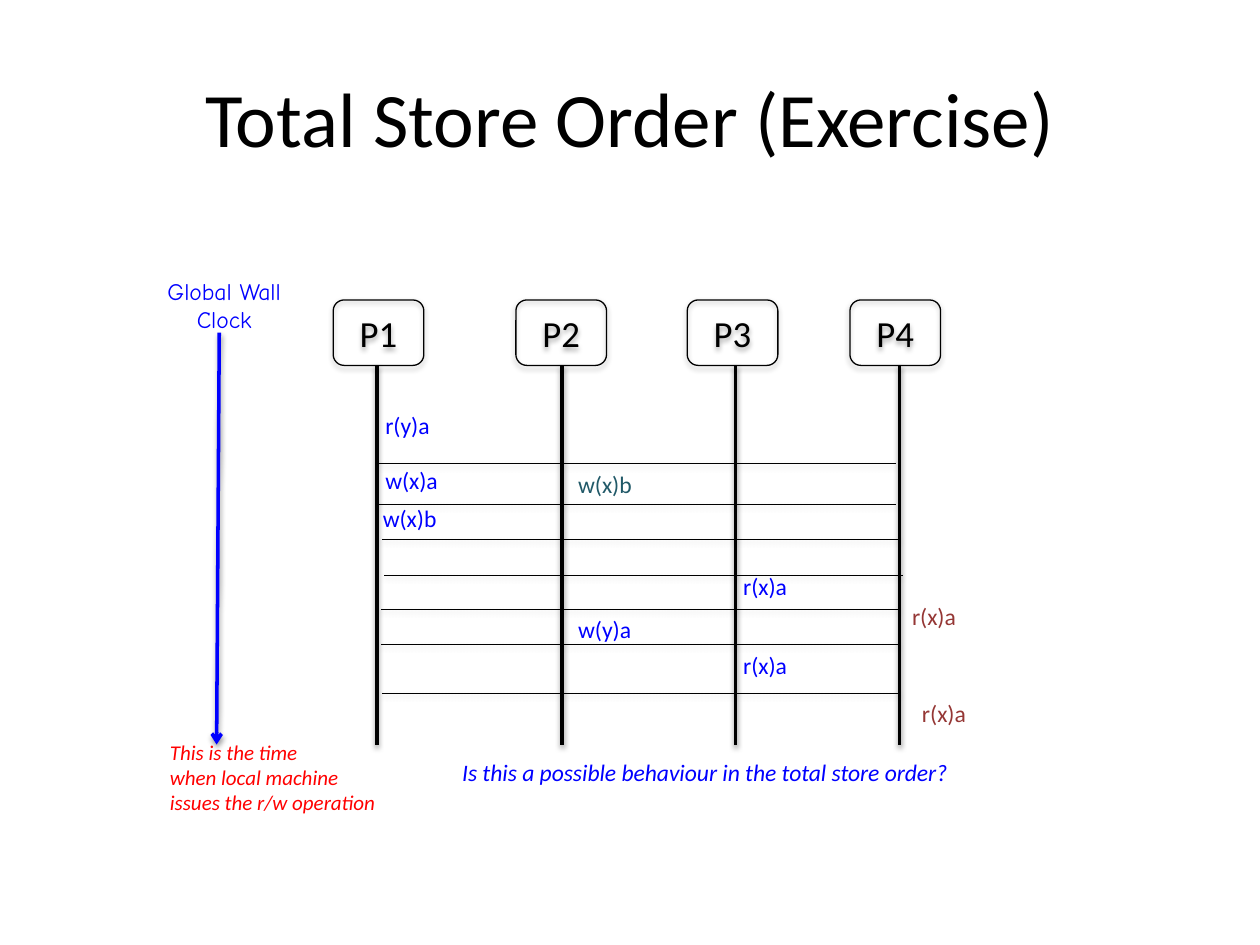
from dataclasses import dataclass

import pptx
import pptx.dml.color
import pptx.enum.dml
import pptx.enum.shapes
import pptx.enum.text
import pptx.oxml
import pptx.util
from pptx.util import Pt

COLORS = {"black": "000000", "blue": "0000FF", "red": "FF0000",
          "teal": "215968", "maroon": "953735"}
ALIGN = pptx.enum.text.PP_ALIGN
ANCHOR = pptx.enum.text.MSO_ANCHOR
A_NS = 'xmlns:a="http://schemas.openxmlformats.org/drawingml/2006/main"'

HEAD_TOP, HEAD_W, HEAD_H = 171.4, 51.8, 37.4
LIFELINE_END = 425.5
GUIDE_LENGTH = 296
LABEL_H = 23.8


@dataclass
class Process:
    name: str
    left: float
    lifeline_x: float


@dataclass
class Label:
    text: str
    left: float
    top: float
    width: float
    color: str = "blue"
    height: float = LABEL_H
    size: float = 13.5
    font: str = "Calibri"
    italic: bool = False
    align: ALIGN = ALIGN.LEFT
    anchor: ANCHOR = ANCHOR.TOP
    wrap: bool = False


PROCESSES = [
    Process("P1", 190.4, 215.3),
    Process("P2", 294.8, 321.1),
    Process("P3", 392.7, 420.2),
    Process("P4", 485.7, 514.1),
]
# Left end and height of each dotted guide
GUIDES = [(215.3, 265), (215.3, 288), (218.2, 308.2), (219.6, 328.6),
          (217.6, 348), (217.6, 368), (218.2, 396)]
TITLE = Label("Total Store Order (Exercise)", 36, 21.6, 648, "black", 90, 44,
              align=ALIGN.CENTER, anchor=ANCHOR.MIDDLE, wrap=True)
LABELS = [
    Label("Global Wall\nClock", 87.8, 154.8, 80.6, height=40.3,
          font="Comic Neue", align=ALIGN.CENTER),
    Label("This is the time\nwhen local machine\nissues the r/w operation",
          90, 419, 133.2, "red", 51.1, 12, italic=True),
    Label("Is this a possible behaviour in the total store order?",
          257, 429.8, 295.9, italic=True),
    Label("r(y)a", 213.1, 231.1, 40.3),
    Label("w(x)a", 213.1, 262.8, 45.4),
    Label("w(x)b", 211.7, 284.4, 45.4),
    Label("w(x)b", 323.3, 265, 45.4, "teal"),
    Label("w(y)a", 323.3, 348, 45.4),
    Label("r(x)a", 417.6, 323.3, 40.3),
    Label("r(x)a", 417.6, 368.6, 40.3),
    Label("r(x)a", 514.1, 340.6, 40.3, "maroon"),
    Label("r(x)a", 519.8, 396, 40.3, "maroon"),
]


def rgb(name: str) -> pptx.dml.color.RGBColor:
    return pptx.dml.color.RGBColor.from_string(COLORS[name])


def add_shadow(sp, distance: float, opacity: int) -> None:
    """Add a soft shadow straight below; call after the line is set."""
    sp._element.spPr.append(pptx.oxml.parse_xml(
        f'<a:effectLst {A_NS}><a:outerShdw blurRad="{Pt(3.1)}" dist="{Pt(distance)}" '
        f'dir="5400000" rotWithShape="0"><a:srgbClr val="{COLORS["black"]}">'
        f'<a:alpha val="{opacity * 1000}"/></a:srgbClr></a:outerShdw></a:effectLst>'))


def format_text(tf, size: float, color: str, align: ALIGN,
                font: str = "Calibri", italic: bool = False) -> None:
    for p in tf.paragraphs:
        p.alignment = align
        for r in p.runs:
            r.font.size = Pt(size)
            r.font.name = font
            r.font.italic = italic
            r.font.color.rgb = rgb(color)


def add_label(s, label: Label) -> None:
    sp = s.shapes.add_textbox(Pt(label.left), Pt(label.top),
                              Pt(label.width), Pt(label.height))
    tf = sp.text_frame
    tf.text = label.text
    tf.word_wrap = label.wrap
    tf.vertical_anchor = label.anchor
    format_text(tf, label.size, label.color, label.align, label.font, label.italic)


def add_line(s, x1: float, y1: float, x2: float, y2: float, width: float,
             color: str = "black", dotted: bool = False, arrow: bool = False) -> None:
    sp = s.shapes.add_connector(pptx.enum.shapes.MSO_CONNECTOR.STRAIGHT,
                                Pt(x1), Pt(y1), Pt(x2), Pt(y2))
    sp.line.width = Pt(width)
    sp.line.color.rgb = rgb(color)
    if dotted:
        sp.line.dash_style = pptx.enum.dml.MSO_LINE.ROUND_DOT
    if arrow:
        sp.line._get_or_add_ln().append(
            pptx.oxml.parse_xml(f'<a:tailEnd {A_NS} type="arrow"/>'))
    add_shadow(sp, 1.6, 38)


def add_process(s, process: Process) -> None:
    """Draw the process head and its lifeline."""
    sp = s.shapes.add_shape(pptx.enum.shapes.MSO_SHAPE.ROUNDED_RECTANGLE,
                            Pt(process.left), Pt(HEAD_TOP), Pt(HEAD_W), Pt(HEAD_H))
    sp.fill.background()
    sp.line.color.rgb = rgb("black")
    sp.line.width = Pt(0.75)
    add_shadow(sp, 1.8, 35)
    tf = sp.text_frame
    tf.text = process.name
    tf.vertical_anchor = ANCHOR.MIDDLE
    format_text(tf, 21, "black", ALIGN.CENTER)
    add_line(s, process.lifeline_x, HEAD_TOP + HEAD_H,
             process.lifeline_x, LIFELINE_END, 2)


def main() -> None:
    prs = pptx.Presentation()
    prs.slide_width, prs.slide_height = Pt(720), Pt(540)
    s = prs.slides.add_slide(prs.slide_layouts[6])
    add_label(s, TITLE)
    for process in PROCESSES:
        add_process(s, process)
    add_line(s, 125.3, 190.1, 123.8, LIFELINE_END, 2, "blue", arrow=True)
    for x, y in GUIDES:
        add_line(s, x, y, x + GUIDE_LENGTH, y, 0.25, dotted=True)
    for label in LABELS:
        add_label(s, label)
    prs.save("out.pptx")


if __name__ == "__main__":
    main()
